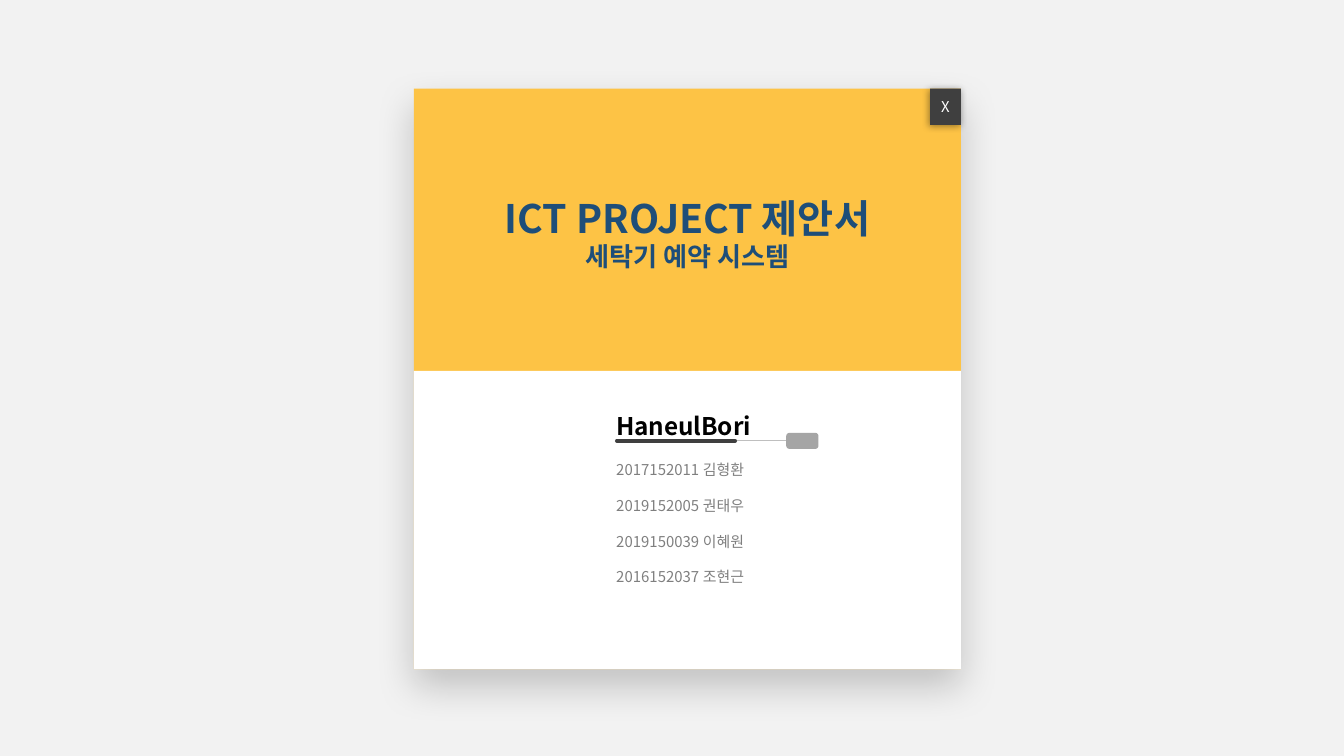
from lxml import etree
from pptx import Presentation
from pptx import util as u
from pptx.dml.color import RGBColor
from pptx.enum import shapes, text
from pptx.oxml import ns

FONT = "Noto Sans CJK KR"
COLORS = {
    "background": "F2F2F2", "yellow": "FDC345", "white": "FFFFFF",
    "navy": "1E4E79", "dark": "3F3F3F", "black": "000000",
    "gray": "7F7F7F", "rule": "BFBFBF", "tag": "A5A5A5",
}


def write(shape, lines, sizes, color, bold=False, align=text.PP_ALIGN.LEFT,
          anchor=text.MSO_ANCHOR.TOP, gap=0):
    """Write one paragraph per line, with exact line height."""
    frame = shape.text_frame
    frame.word_wrap = True
    frame.auto_size = text.MSO_AUTO_SIZE.NONE
    frame.vertical_anchor = anchor
    frame.margin_left = frame.margin_right = u.Pt(5.4)
    frame.margin_top = frame.margin_bottom = u.Inches(0.04)
    for index, (line, size) in enumerate(zip(lines, sizes)):
        paragraph = frame.add_paragraph() if index else frame.paragraphs[0]
        paragraph.alignment = align
        paragraph.line_spacing = u.Pt(1.18 * size)
        paragraph.space_before = u.Pt(gap if index else 0)
        paragraph.space_after = u.Pt(0)
        run = paragraph.add_run()
        run.text = line
        run.font.name = FONT
        run.font.size = u.Pt(size)
        run.font.bold = bold
        run.font.color.rgb = RGBColor.from_string(COLORS[color])
        properties = run.font._element
        east_asian = etree.SubElement(properties, ns.qn("a:ea"))
        east_asian.set("typeface", FONT)


def add_block(slide, kind, box, color, shadow=None):
    """Add a filled shape; shadow is blur, distance (points), direction, opacity."""
    shape = slide.shapes.add_shape(kind, *map(u.Inches, box))
    shape.fill.solid()
    shape.fill.fore_color.rgb = RGBColor.from_string(COLORS[color])
    shape.line.fill.background()
    shape.shadow.inherit = False
    if shadow:
        blur, distance, direction, opacity = shadow
        effects = shape.element.spPr.find(ns.qn("a:effectLst"))
        outer = etree.SubElement(
            effects, ns.qn("a:outerShdw"), blurRad=str(u.Pt(blur)),
            dist=str(u.Pt(distance)), dir=str(direction * 60000),
            algn="ctr", rotWithShape="0")
        tint = etree.SubElement(outer, ns.qn("a:srgbClr"), val=COLORS["black"])
        etree.SubElement(tint, ns.qn("a:alpha"), val=str(opacity * 1000))
    return shape


presentation = Presentation()
presentation.slide_width = u.Inches(10)
presentation.slide_height = u.Inches(10 * 9 / 16)
slide = presentation.slides.add_slide(presentation.slide_layouts[5])
slide.background.fill.solid()
slide.background.fill.fore_color.rgb = RGBColor.from_string(COLORS["background"])

# Card with its white lower half and close button
rectangle = shapes.MSO_SHAPE.RECTANGLE
add_block(slide, rectangle, (3.08, 0.66, 4.07, 4.32), "yellow", (21, 9, 90, 20))
add_block(slide, rectangle, (3.08, 2.76, 4.07, 2.22), "white")
close_button = add_block(slide, rectangle, (6.92, 0.66, 0.23, 0.27), "dark",
                         (4, 1, 135, 40))
write(close_button, ["X"], [8], "white", align=text.PP_ALIGN.CENTER,
      anchor=text.MSO_ANCHOR.MIDDLE)

# Title, brought in front of the card
title = slide.shapes.title
title.left, title.top = u.Inches(3.08), u.Inches(1.41)
title.width, title.height = u.Inches(4.07), u.Inches(0.7)
write(title, ["ICT PROJECT 제안서", "세탁기 예약 시스템"], [21, 14], "navy",
      bold=True, align=text.PP_ALIGN.CENTER)
title.element.getparent().append(title.element)

# Rule under the team name
for end, color, width in ((6.06, "rule", 0.75), (5.47, "dark", 2)):
    rule = slide.shapes.add_connector(
        shapes.MSO_CONNECTOR.STRAIGHT,
        u.Inches(4.59), u.Inches(3.28), u.Inches(end), u.Inches(3.28))
    rule.line.color.rgb = RGBColor.from_string(COLORS[color])
    rule.line.width = u.Pt(width)
    rule.get_or_add_ln().set("cap", "rnd")
    etree.SubElement(rule.element.spPr, ns.qn("a:effectLst"))

# Team name and members
team = slide.shapes.add_textbox(*map(u.Inches, (4.51, 3.02, 1.34, 0.29)))
write(team, ["HaneulBori"], [13], "black", bold=True)
members = ["2017152011 김형환", "2019152005 권태우",
           "2019150039 이혜원", "2016152037 조현근"]
member_list = slide.shapes.add_textbox(*map(u.Inches, (4.51, 3.39, 1.55, 1.02)))
write(member_list, members, [8] * len(members), "gray", gap=9.7)

# Tag at the end of the rule
tag = add_block(slide, shapes.MSO_SHAPE.ROUNDED_RECTANGLE,
                (5.85, 3.22, 0.24, 0.12), "tag")
tag.adjustments[0] = 0.2

presentation.save("out.pptx")
